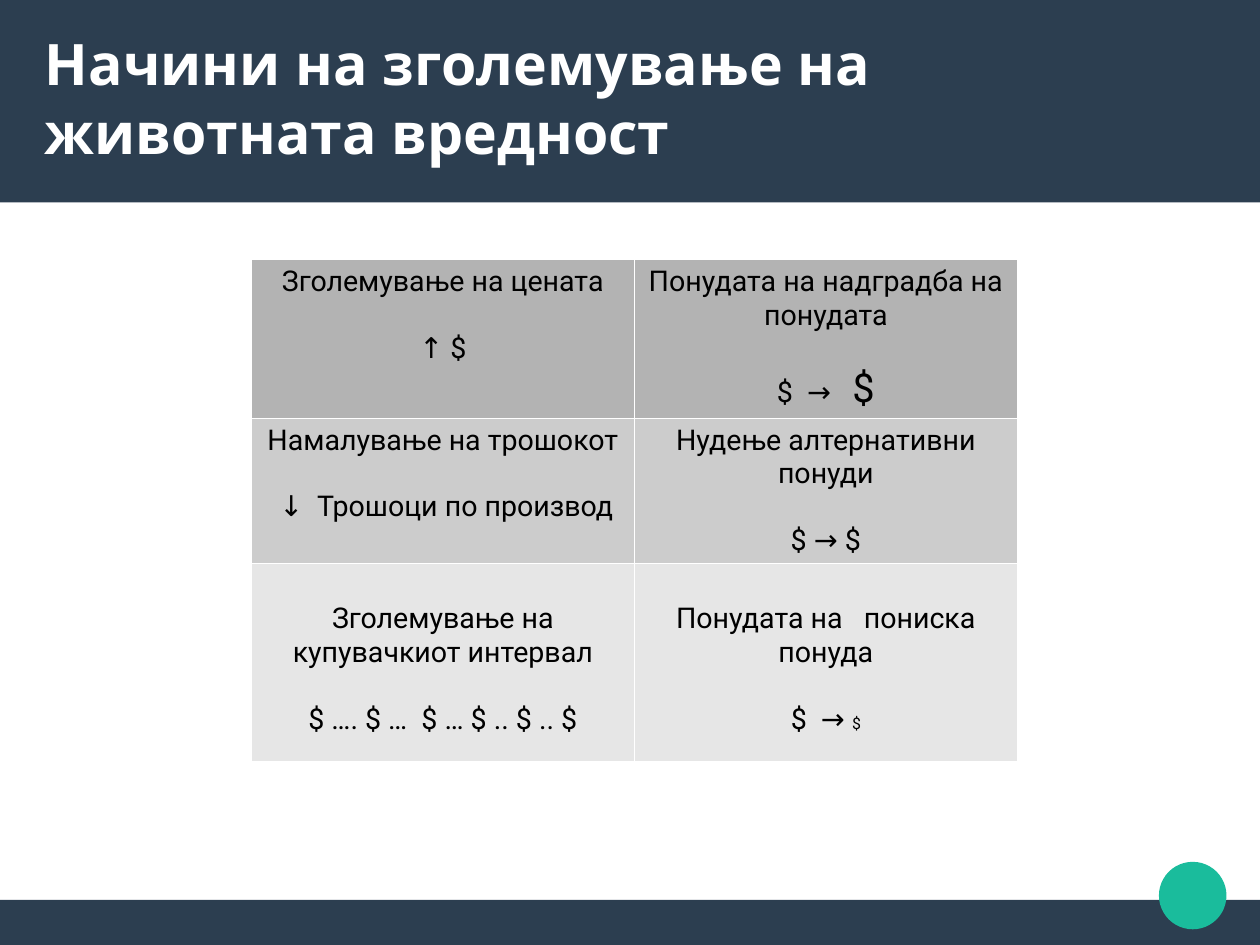
import dataclasses
import typing
import pptx
import pptx.dml.color
import pptx.enum.shapes
import pptx.enum.text
import pptx.oxml
import pptx.oxml.ns
import pptx.util

WIDE, HIGH = pptx.util.Cm(28), pptx.util.Cm(21)
COL, ROW = WIDE / 100, HIGH / 100  # grid of 100 columns by 100 rows
NAVY, TEAL, WHITE, BLACK = "2C3E50", "1ABC9C", "FFFFFF", "000000"
FORM = pptx.enum.shapes.MSO_SHAPE
ALIGN = pptx.enum.text.PP_ALIGN
MID = pptx.enum.text.MSO_ANCHOR.MIDDLE
LINE = 21  # height of one text line in a cell, points


@dataclasses.dataclass
class Box:
    left: float
    top: float
    width: float
    height: float


@dataclasses.dataclass
class Part:
    form: typing.Any
    box: Box
    fill: str


@dataclasses.dataclass
class Way:
    head: str
    sign: str
    last: str = ""  # closing sign in its own size
    size: float = 18


@dataclasses.dataclass
class Band:
    height: float
    fill: str
    ways: tuple[Way, Way]
    drop: float = 0  # lines left free above the text


PARTS = [
    Part(FORM.RECTANGLE, Box(0, 95.24, 100, 4.76), NAVY),
    Part(FORM.RECTANGLE, Box(0, 0, 100, 21.43), NAVY),
    Part(FORM.OVAL, Box(91.98, 91.2, 5.36, 7.14), TEAL),
]
TITLE = Box(3.57, 3.95, 92.86, 12.7)
GRID = Box(19.96, 27.46, 60.78, 53)
BANDS = [
    Band(16.72, "B3B3B3", (
        Way("Зголемување на ценатa", "↑ $"),
        Way("Понудата на надградба на понудата", "$  →   ", "$", 25))),
    Band(15.34, "CCCCCC", (
        Way("Намалување на трошокот", " ↓  Трошоци по производ"),
        Way("Нудење алтернативни понуди", "$ → $"))),
    Band(20.95, "E6E6E6", (
        Way("Зголемување на купувачкиот интервал", "$ …. $ …  $ … $ .. $ .. $"),
        Way("Понудата на   пониска понуда", "$  → ", "$", 10)), drop=1),
]


def tint(code: str) -> pptx.dml.color.RGBColor:
    return pptx.dml.color.RGBColor.from_string(code)


def place(box: Box) -> tuple[int, int, int, int]:
    return (round(box.left * COL), round(box.top * ROW),
            round(box.width * COL), round(box.height * ROW))


def write(para: typing.Any, text: str, *, size: float = 18, font: str = "Roboto",
          fill: str = BLACK, bold: bool = False, align: typing.Any = ALIGN.CENTER) -> None:
    para.alignment = align
    run = para.add_run()
    run.text = text
    run.font.size = pptx.util.Pt(size)
    run.font.name = font
    run.font.bold = bold
    run.font.color.rgb = tint(fill)


def draw(slide: typing.Any, part: Part) -> None:
    shape = slide.shapes.add_shape(part.form, *place(part.box))
    shape.shadow.inherit = False
    shape.fill.solid()
    shape.fill.fore_color.rgb = tint(part.fill)
    shape.line.fill.background()


def edge(cell: typing.Any) -> None:
    props = cell._tc.get_or_add_tcPr()
    for side in ("lnL", "lnR", "lnT", "lnB"):
        props.append(pptx.oxml.parse_xml(
            f'<a:{side} {pptx.oxml.ns.nsdecls("a")} w="762"><a:solidFill>'
            f'<a:srgbClr val="{WHITE}"/></a:solidFill></a:{side}>'))


def fill_cell(cell: typing.Any, way: Way, band: Band) -> None:
    edge(cell)
    cell.fill.solid()
    cell.fill.fore_color.rgb = tint(band.fill)
    cell.margin_left = cell.margin_right = pptx.util.Inches(0.1)
    cell.margin_bottom = pptx.util.Inches(0.05)
    cell.margin_top = pptx.util.Inches(0.05) + pptx.util.Pt(band.drop * LINE)
    write(cell.text_frame.paragraphs[0], way.head)
    para = cell.text_frame.add_paragraph()
    para.space_before = pptx.util.Pt(LINE)
    write(para, way.sign)
    if way.last:
        write(para, way.last, size=way.size)


def main() -> None:
    deck = pptx.Presentation()
    deck.slide_width, deck.slide_height = WIDE, HIGH
    slide = deck.slides.add_slide(deck.slide_layouts[5])

    # Bands and dot
    for part in PARTS:
        draw(slide, part)

    # Title, in front of its band
    title = slide.shapes.title
    title.element.getparent().append(title.element)
    title.left, title.top, title.width, title.height = place(TITLE)
    frame = title.text_frame
    frame.margin_left = frame.margin_right = frame.margin_top = frame.margin_bottom = 0
    frame.vertical_anchor = MID
    frame.word_wrap = True
    frame.auto_size = pptx.enum.text.MSO_AUTO_SIZE.NONE
    write(frame.paragraphs[0], "Начини на зголемување на животната вредност",
          size=36, font="Noto Sans", fill=WHITE, bold=True, align=ALIGN.LEFT)

    # Table of ways
    table = slide.shapes.add_table(len(BANDS), 2, *place(GRID)).table
    table.first_row = table.horz_banding = False
    for row, band in enumerate(BANDS):
        table.rows[row].height = round(band.height * ROW)
        for col, way in enumerate(band.ways):
            fill_cell(table.cell(row, col), way, band)

    deck.save("out.pptx")


if __name__ == "__main__":
    main()
